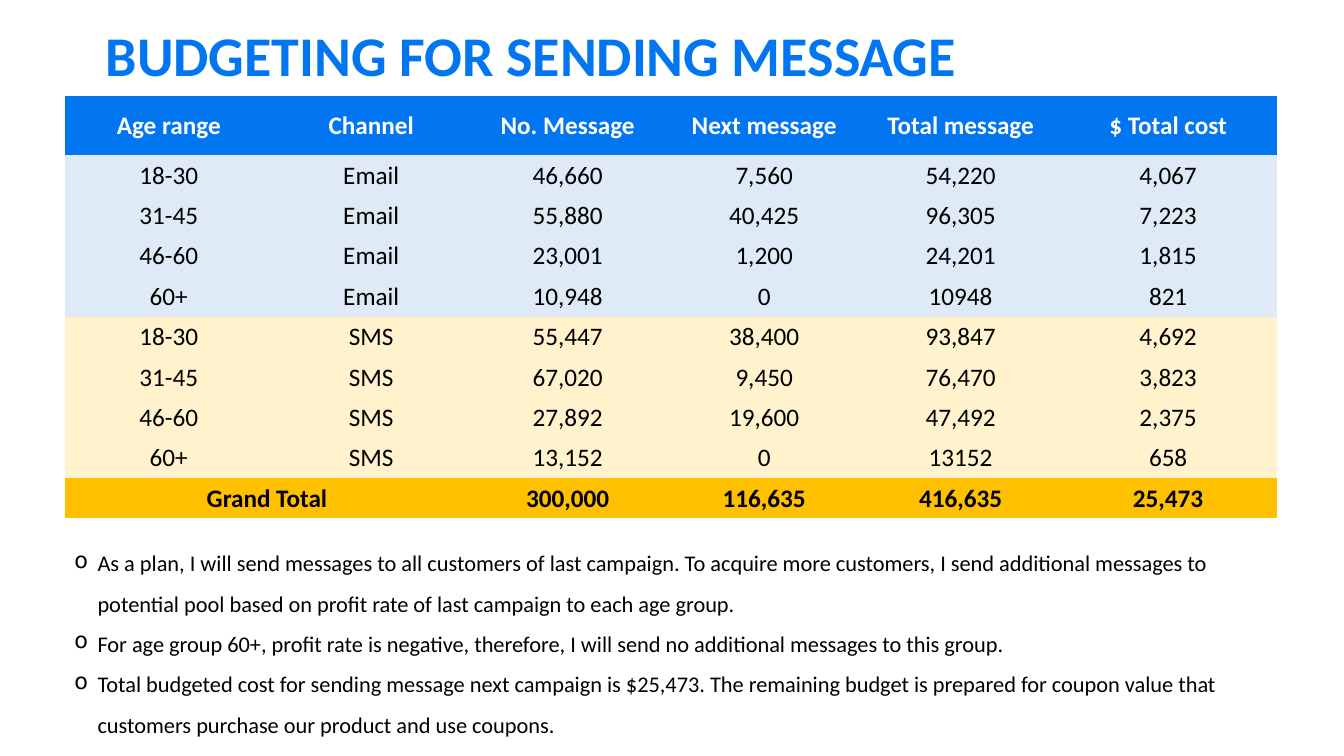
import dataclasses

import lxml.etree
import pptx
import pptx.dml.color
import pptx.enum.text
import pptx.oxml.ns
import pptx.util

Inches = pptx.util.Inches
ALIGN = pptx.enum.text.PP_ALIGN
ANCHOR = pptx.enum.text.MSO_ANCHOR
AUTO_SIZE = pptx.enum.text.MSO_AUTO_SIZE


@dataclasses.dataclass(frozen=True)
class Theme:
    """Colours, font, type sizes and line width of the slide."""
    font: str = "Calibri"
    blue: str = "0276F1"
    email: str = "DEEBF7"
    sms: str = "FFF2CC"
    total: str = "FFC000"
    white: str = "FFFFFF"
    black: str = "000000"
    title_size: int = 40
    table_size: int = 18
    note_size: int = 16
    border: float = 0.75


THEME = Theme()
NO_GRID_STYLE = "{2D5ABB26-0587-4C30-8999-92F81FD0307C}"
COLUMN_WIDTHS = [2.07, 1.95, 1.95, 1.95, 1.95, 2.17]
HEADER_HEIGHT, ROW_HEIGHT = 0.59, 0.39

BUDGET = [
    ["Age range", "Channel", "No. Message", "Next message", "Total message", "$ Total cost"],
    ["18-30", "Email", "46,660", "7,560", "54,220", "4,067"],
    ["31-45", "Email", "55,880", "40,425", "96,305", "7,223"],
    ["46-60", "Email", "23,001", "1,200", "24,201", "1,815"],
    ["60+", "Email", "10,948", "0", "10948", "821"],
    ["18-30", "SMS", "55,447", "38,400", "93,847", "4,692"],
    ["31-45", "SMS", "67,020", "9,450", "76,470", "3,823"],
    ["46-60", "SMS", "27,892", "19,600", "47,492", "2,375"],
    ["60+", "SMS", "13,152", "0", "13152", "658"],
    ["Grand Total", "", "300,000", "116,635", "416,635", "25,473"],
]
NOTES = [
    "As a plan, I will send messages to all customers of last campaign. To acquire more customers, "
    "I send additional messages to potential pool based on profit rate of last campaign to each age group.",
    "For age group 60+, profit rate is negative, therefore, I will send no additional messages to this group.",
    "Total budgeted cost for sending message next campaign is $25,473. The remaining budget is prepared "
    "for coupon value that customers purchase our product and use coupons.",
]


def rgb(value):
    """Return a colour object for a hex value."""
    return pptx.dml.color.RGBColor.from_string(value)


def apply(target, values):
    """Set every attribute listed in a dict of format values."""
    for name, value in values.items():
        setattr(target, name, value)


def add_element(parent, tag, **attributes):
    """Append a DrawingML element and return it."""
    return lxml.etree.SubElement(parent, pptx.oxml.ns.qn(tag), attributes)


def write(paragraph, text, size, color, bold=False, **layout):
    """Write one formatted run into a paragraph."""
    apply(paragraph, layout)
    run = paragraph.add_run()
    run.text = text
    apply(run.font, {"name": THEME.font, "size": pptx.util.Pt(size), "bold": bold})
    run.font.color.rgb = rgb(color)


def add_frame(slide, box, **values):
    """Add a wrapping text box and return its text frame."""
    frame = slide.shapes.add_textbox(*map(Inches, box)).text_frame
    apply(frame, {"word_wrap": True, **values})
    return frame


def add_title(slide, box):
    """Place the slide heading."""
    frame = add_frame(slide, box, vertical_anchor=ANCHOR.MIDDLE)
    write(frame.paragraphs[0], "BUDGETING FOR SENDING MESSAGE", THEME.title_size, THEME.blue,
          bold=True, alignment=ALIGN.CENTER, line_spacing=0.9)


def add_border(cell, edge):
    """Draw one white edge of a cell."""
    line = add_element(cell._tc.get_or_add_tcPr(), edge, w=str(pptx.util.Pt(THEME.border)))
    add_element(add_element(line, "a:solidFill"), "a:srgbClr", val=THEME.white)


def row_style(row, values):
    """Return fill, text colour and weight for a budget row."""
    if row == 0:
        return THEME.blue, THEME.white, True
    if row == len(BUDGET) - 1:
        return THEME.total, THEME.black, True
    return (THEME.email if values[1] == "Email" else THEME.sms), THEME.black, False


def add_budget(slide, box):
    """Place the budget table with a white outline."""
    last_row, last_column = len(BUDGET) - 1, len(COLUMN_WIDTHS) - 1
    table = slide.shapes.add_table(len(BUDGET), len(COLUMN_WIDTHS), *map(Inches, box)).table
    table.horz_banding = False
    table._tbl.tblPr.find(pptx.oxml.ns.qn("a:tableStyleId")).text = NO_GRID_STYLE
    for column, width in zip(table.columns, COLUMN_WIDTHS):
        column.width = Inches(width)
    for r, values in enumerate(BUDGET):
        table.rows[r].height = Inches(ROW_HEIGHT if r else HEADER_HEIGHT)
        fill, color, bold = row_style(r, values)
        for c, text in enumerate(values):
            cell = table.cell(r, c)
            edges = {"a:lnL": c == 0, "a:lnR": c == last_column,
                     "a:lnT": r == 0, "a:lnB": r == last_row}
            for edge, outer in edges.items():
                if outer:
                    add_border(cell, edge)
            cell.fill.solid()
            cell.fill.fore_color.rgb = rgb(fill)
            apply(cell, {"margin_left": Inches(0.03), "margin_right": Inches(0.03),
                         "vertical_anchor": ANCHOR.MIDDLE})
            if text:
                write(cell.text_frame.paragraphs[0], text, THEME.table_size, color,
                      bold, alignment=ALIGN.CENTER)
    table.cell(last_row, 0).merge(table.cell(last_row, 1))


def add_notes(slide, box):
    """Place the bulleted remarks."""
    frame = add_frame(slide, box, auto_size=AUTO_SIZE.SHAPE_TO_FIT_TEXT)
    indent = Inches(0.23)
    for i, note in enumerate(NOTES):
        paragraph = frame.add_paragraph() if i else frame.paragraphs[0]
        properties = paragraph._p.get_or_add_pPr()
        properties.set("marL", str(indent))
        properties.set("indent", str(-indent))
        add_element(add_element(properties, "a:buClr"), "a:srgbClr", val=THEME.black)
        add_element(properties, "a:buChar", char="o")
        write(paragraph, note, THEME.note_size, THEME.black, line_spacing=1.5)


def main():
    """Build and save the budget slide."""
    deck = pptx.Presentation()
    apply(deck, {"slide_width": Inches(13.34), "slide_height": Inches(7.5)})
    slide = deck.slides.add_slide(deck.slide_layouts[6])
    left, width = 0.64, sum(COLUMN_WIDTHS)
    add_title(slide, (0.21, 0.26, 10.12, 0.64))
    add_budget(slide, (left, 0.95, width, HEADER_HEIGHT + ROW_HEIGHT * (len(BUDGET) - 1)))
    add_notes(slide, (left, 5.27, width, 2.1))
    deck.save("out.pptx")


if __name__ == "__main__":
    main()
